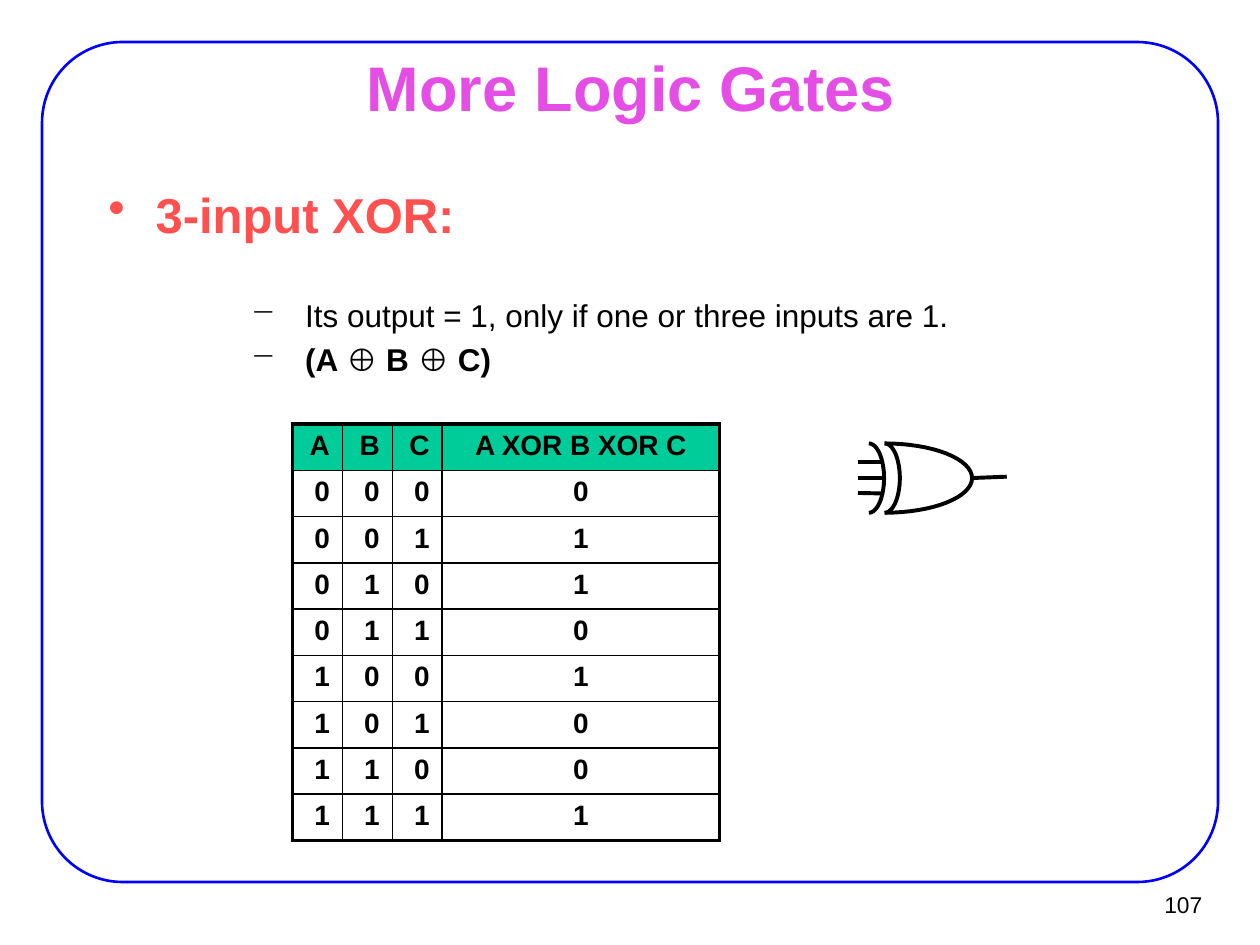
"""Build the slide on the 3-input XOR gate with its truth table and symbol."""
import itertools
import math

import lxml.etree
import pptx
import pptx.dml.color
import pptx.enum.shapes
import pptx.enum.text
import pptx.oxml.ns
import pptx.util

Pt = pptx.util.Pt
RGB = pptx.dml.color.RGBColor.from_string
ALIGN = pptx.enum.text.PP_ALIGN
MIDDLE = pptx.enum.text.MSO_ANCHOR.MIDDLE
qn = pptx.oxml.ns.qn

THEME = {
    "font": "Arial",
    "colors": {"ink": "000000", "frame": "0000FF", "title": "E44EE4", "topic": "FF5050", "header": "00CC99"},
    "sizes": {"title": 36, "topic": 28, "detail": 18, "cell": 16, "number": 13},
    "lines": {"frame": 1.5, "heavy": 2.25, "grid": 1},
}
COLORS, SIZES, LINES = THEME["colors"], THEME["sizes"], THEME["lines"]


def add_run(p, text, size, color="ink", bold=False):
    r = p.add_run()
    r.text = text
    for name, value in {"name": THEME["font"], "size": Pt(SIZES[size]), "bold": bold}.items():
        setattr(r.font, name, value)
    r.font.color.rgb = RGB(COLORS[color])


def set_line(sp, width, color="ink"):
    sp.line.width = Pt(LINES[width])
    sp.line.color.rgb = RGB(COLORS[color])


prs = pptx.Presentation()
prs.slide_width, prs.slide_height = Pt(720), Pt(540)
s = prs.slides.add_slide(prs.slide_layouts[6])

frame = s.shapes.add_shape(pptx.enum.shapes.MSO_SHAPE.ROUNDED_RECTANGLE, Pt(24), Pt(24), Pt(672), Pt(480))
frame.adjustments[0] = 0.1
frame.adjustments[0] = 0.096
frame.shadow.inherit = False
frame.fill.background()
set_line(frame, "frame", "frame")

boxes = {}
for name, box, margins, wrap, anchor in [
    ("number", (649.5, 503.3, 44, 26.6), (6.5, 3), False, MIDDLE),
    ("title", (54.7, 31.7, 612, 35.3), (7.9, 4.3), True, MIDDLE),
    ("body", (54, 101, 612, 360), (7.9, 4.3), True, pptx.enum.text.MSO_ANCHOR.TOP),
]:
    tf = s.shapes.add_textbox(*map(Pt, box)).text_frame
    side, end = map(Pt, margins)
    for key, value in {"margin_left": side, "margin_right": side, "margin_top": end, "margin_bottom": end,
                       "word_wrap": wrap, "vertical_anchor": anchor}.items():
        setattr(tf, key, value)
    boxes[name] = tf

for name, text, align, color, bold in [
    ("number", "107", ALIGN.RIGHT, "ink", False),
    ("title", "More Logic Gates", ALIGN.CENTER, "title", True),
]:
    p = boxes[name].paragraphs[0]
    p.alignment = align
    add_run(p, text, name, color, bold)

for i, (bullet, left, hang, before, size, color, runs) in enumerate([
    ("•", 27, 27, 0, "topic", "topic", [("3-input XOR:", True)]),
    ("−", 112.5, 31, 30, "detail", "ink", [("Its output = 1, only if one or three inputs are 1.", False)]),
    ("−", 112.5, 31, 3.6, "detail", "ink",
     [("(A ", True), ("⊕", False), (" B ", True), ("⊕", False), (" C)", True)]),
]):
    p = boxes["body"].paragraphs[0] if i == 0 else boxes["body"].add_paragraph()
    p.space_before = Pt(before)
    pPr = p._p.get_or_add_pPr()
    pPr.set("marL", str(Pt(left)))
    pPr.set("indent", str(-Pt(hang)))
    lxml.etree.SubElement(pPr, qn("a:buChar"), char=bullet)
    for text, bold in runs:
        add_run(p, text, size, color, bold)

rows = [("A", "B", "C", "A XOR B XOR C")]
rows += [(a, b, c, a ^ b ^ c) for a, b, c in itertools.product((0, 1), repeat=3)]
widths = [28.5, 28.5, 28.5, 158.5]
row_height = 26.4
table = s.shapes.add_table(len(rows), len(widths), Pt(167.2), Pt(242.4), Pt(sum(widths)),
                           Pt(row_height * len(rows))).table
table.first_row = table.horz_banding = False
for column, width in zip(table.columns, widths):
    column.width = Pt(width)
last_row, last_col = len(rows) - 1, len(widths) - 1
for i, values in enumerate(rows):
    table.rows[i].height = Pt(row_height)
    for j, value in enumerate(values):
        cell = table.cell(i, j)
        tcPr = cell._tc.get_or_add_tcPr()
        for side, outer in {"L": j == 0, "R": j == last_col, "T": i == 0, "B": i == last_row}.items():
            ln = lxml.etree.SubElement(tcPr, qn("a:ln" + side), w=str(Pt(LINES["heavy" if outer else "grid"])))
            fill = lxml.etree.SubElement(ln, qn("a:solidFill"))
            lxml.etree.SubElement(fill, qn("a:srgbClr"), val=COLORS["ink"])
        if i == 0:
            cell.fill.solid()
            cell.fill.fore_color.rgb = RGB(COLORS["header"])
        else:
            cell.fill.background()
        p = cell.text_frame.paragraphs[0]
        p.alignment = ALIGN.CENTER if j == last_col else ALIGN.RIGHT
        add_run(p, str(value), "cell", bold=True)

gate_y, gate_ry, steps = 273.2, 19.8, 16
for arc_x, arc_rx in [(505.5, 8.7), (505.5, 50), (496.5, 8.7)]:
    for direction in (-1, 1):
        angles = [math.pi / 2 * k / steps for k in range(steps + 1)]
        points = [(Pt(arc_x + arc_rx * math.cos(t)), Pt(gate_y + direction * gate_ry * math.sin(t)))
                  for t in angles]
        builder = s.shapes.build_freeform(*points[0])
        builder.add_line_segments(points[1:], close=False)
        sp = builder.convert_to_shape()
        sp.shadow.inherit = False
        sp.fill.background()
        set_line(sp, "heavy")

for x1, y1, x2, y2 in [
    (490.3, 264.2, 504.7, 264.2),
    (490.3, 273.4, 504.2, 273.4),
    (490.3, 281.7, 504.7, 282),
    (555.3, 273.2, 575.3, 272.4),
]:
    wire = s.shapes.add_connector(pptx.enum.shapes.MSO_CONNECTOR.STRAIGHT, Pt(x1), Pt(y1), Pt(x2), Pt(y2))
    set_line(wire, "heavy")
    lxml.etree.SubElement(wire._element.spPr, qn("a:effectLst"))

prs.save("out.pptx")
